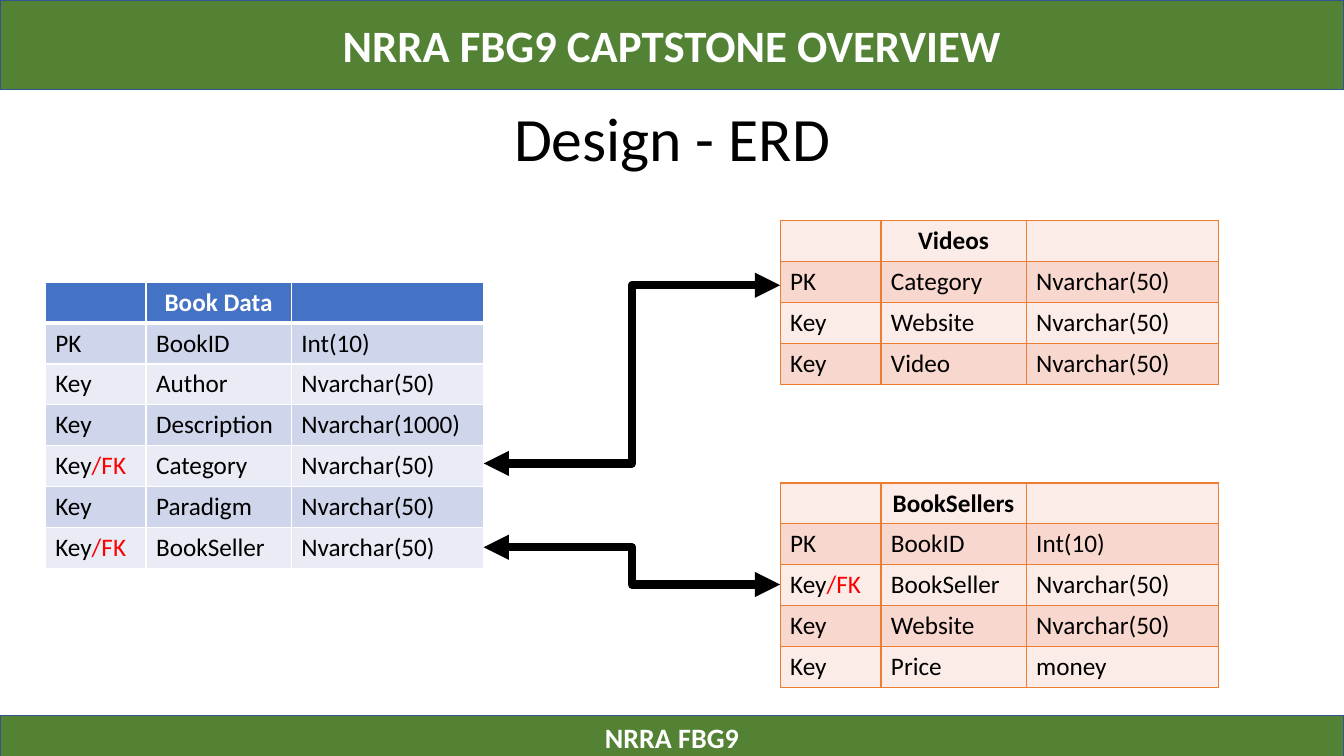
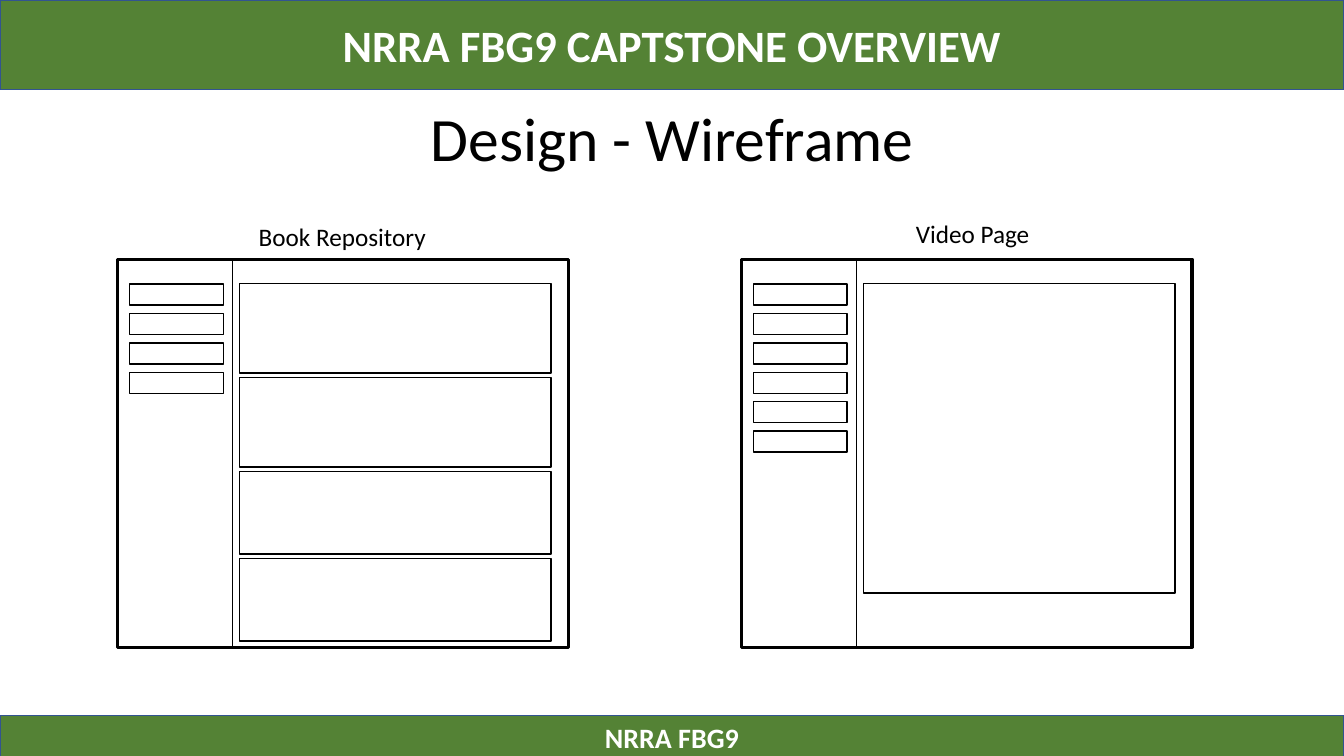
from lxml import etree
from pptx import Presentation
from pptx.dml.color import RGBColor
from pptx.enum.shapes import MSO_CONNECTOR, MSO_SHAPE
from pptx.enum.text import MSO_ANCHOR, PP_ALIGN
from pptx.oxml.ns import qn
from pptx.util import Cm, Pt

RECT = MSO_SHAPE.RECTANGLE
LINE, ELBOW = MSO_CONNECTOR.STRAIGHT, MSO_CONNECTOR.ELBOW
LEFT, CENTER = PP_ALIGN.LEFT, PP_ALIGN.CENTER
TOP, MIDDLE = MSO_ANCHOR.TOP, MSO_ANCHOR.MIDDLE

FONT = "Calibri"
BLACK, WHITE, RED = "000000", "FFFFFF", "FF0000"
GREEN, EDGE = "548235", "325491"
WIDTH, HEIGHT = 33.87, 19.05
COURSE = "NRRA FBG9"

BLUE = {"head": "4472C4", "ink": WHITE, "bands": ("CFD5EA", "E9EBF5"),
        "rule": WHITE, "under": 3}
ORANGE = {"head": "FCECE8", "ink": BLACK, "bands": ("F8D7CE", "FCECE8"),
          "rule": "ED7D31", "under": 1}
COLS, ROW = (2.54, 3.66, 4.85), 1.03

BOOKS = [("PK", "BookID", "Int(10)"),
         ("Key", "Author", "Nvarchar(50)"),
         ("Key", "Description", "Nvarchar(1000)"),
         ("Key/FK", "Category", "Nvarchar(50)"),
         ("Key", "Paradigm", "Nvarchar(50)"),
         ("Key/FK", "BookSeller", "Nvarchar(50)")]
VIDEOS = [("PK", "Category", "Nvarchar(50)"),
          ("Key", "Website", "Nvarchar(50)"),
          ("Key", "Video", "Nvarchar(50)")]
SELLERS = [("PK", "BookID", "Int(10)"),
           ("Key/FK", "BookSeller", "Nvarchar(50)"),
           ("Key", "Website", "Nvarchar(50)"),
           ("Key", "Price", "money")]


def paint(color, code):
    """Set a colour format from a hex string."""
    color.rgb = RGBColor.from_string(code)


def write(frame, runs, size, bold=False, align=LEFT):
    """Add (text, colour) runs to the first paragraph and return it."""
    para = frame.paragraphs[0]
    para.alignment = align
    for text, code in runs:
        run = para.add_run()
        run.text = text
        run.font.name, run.font.size, run.font.bold = FONT, Pt(size), bold
        paint(run.font.color, code)
    return para


def add_box(slide, x, y, w, h, line=BLACK, weight=1, fill=None):
    """Add an outlined rectangle, filled if a colour is given."""
    box = slide.shapes.add_shape(RECT, Cm(x), Cm(y), Cm(w), Cm(h))
    box.shadow.inherit = False
    paint(box.line.color, line)
    box.line.width = Pt(weight)
    if fill:
        box.fill.solid()
        paint(box.fill.fore_color, fill)
    else:
        box.fill.background()
    return box


def add_band(slide, y, h, text, size):
    """Add a green band across the slide."""
    frame = add_box(slide, 0, y, WIDTH, h, EDGE, 1, GREEN).text_frame
    frame.vertical_anchor = MIDDLE
    write(frame, [(text, WHITE)], size, True, CENTER)


def add_label(slide, x, y, w, h, text, size=18, align=LEFT, anchor=TOP,
              wrap=False):
    """Add a text box with one line of black text."""
    frame = slide.shapes.add_textbox(Cm(x), Cm(y), Cm(w), Cm(h)).text_frame
    frame.word_wrap, frame.vertical_anchor = wrap, anchor
    return write(frame, [(text, BLACK)], size, align=align)


def add_page(deck, title):
    """Add a blank slide with the shared bands and a title."""
    slide = deck.slides.add_slide(deck.slide_layouts[6])
    add_band(slide, 0, 2.26, COURSE + " CAPTSTONE OVERVIEW", 32)
    add_band(slide, 18.03, 1.12, COURSE, 20)
    para = add_label(slide, 2.34, 2.41, 29.21, 2.29, title, 44, CENTER,
                     MIDDLE, True)
    para.line_spacing = 0.9
    return slide


def add_line(slide, kind, start, end, weight, arrows=False):
    """Add a black connector, with an arrowhead at both ends if asked."""
    link = slide.shapes.add_connector(kind, *map(Cm, start + end))
    paint(link.line.color, BLACK)
    link.line.width = Pt(weight)
    if arrows:
        for tag in ("a:headEnd", "a:tailEnd"):
            etree.SubElement(link.line._ln, qn(tag), type="triangle")
    etree.SubElement(link._element.spPr, qn("a:effectLst"))


def add_rules(cell, code, top, base):
    """Draw the four borders of a cell."""
    props = cell._tc.get_or_add_tcPr()
    for side, weight in (("L", 1), ("R", 1), ("T", top), ("B", base)):
        line = etree.SubElement(props, qn("a:ln" + side), w=str(Pt(weight)))
        fill = etree.SubElement(line, qn("a:solidFill"))
        etree.SubElement(fill, qn("a:srgbClr"), val=code)


def add_grid(slide, x, y, name, rows, look):
    """Add an entity table: a named head row and banded field rows."""
    rows = [("", name, "")] + rows
    table = slide.shapes.add_table(len(rows), len(COLS), Cm(x), Cm(y),
                                   Cm(sum(COLS)), Cm(ROW * len(rows))).table
    table.first_row = table.horz_banding = False
    for col, width in zip(table.columns, COLS):
        col.width = Cm(width)
    for i, row in enumerate(rows):
        table.rows[i].height = Cm(ROW)
        head = i == 0
        for j, text in enumerate(row):
            cell = table.cell(i, j)
            add_rules(cell, look["rule"], look["under"] if i == 1 else 1,
                      look["under"] if head else 1)
            cell.fill.solid()
            paint(cell.fill.fore_color,
                  look["head"] if head else look["bands"][(i - 1) % 2])
            key, mark, rest = text.partition("/")
            runs = [(key, look["ink"] if head else BLACK), (mark + rest, RED)]
            write(cell.text_frame, [run for run in runs if run[0]], 18, head,
                  CENTER if head else LEFT)


def add_frame(slide, x, count, panels):
    """Add a page wireframe: side buttons and a stack of panels."""
    top, tall, side = 6.53, 9.78, x + 2.88
    add_box(slide, x, top, 11.35, tall, weight=2.25)
    add_line(slide, LINE, (side, top), (side, top + tall), 0.5)
    for i in range(count):
        add_box(slide, x + 0.3, 7.16 + 0.74 * i, 2.36, 0.53)
    y = 7.14
    for high in panels:
        add_box(slide, x + 3.07, y, 7.85, high)
        y += high + 0.11


def main():
    """Build both slides and save the deck."""
    deck = Presentation()
    deck.slide_width, deck.slide_height = Cm(WIDTH), Cm(HEIGHT)

    page = add_page(deck, "Design - ERD")
    add_grid(page, 1.14, 7.11, "Book Data", BOOKS, BLUE)
    add_grid(page, 19.66, 12.17, "BookSellers", SELLERS, ORANGE)
    add_grid(page, 19.66, 5.56, "Videos", VIDEOS, ORANGE)
    for start, end in ((13.79, 14.73), (11.68, 7.19)):
        add_line(page, ELBOW, (12.19, start), (19.66, end), 6, True)

    page = add_page(deck, "Design - Wireframe")
    add_frame(page, 2.97, 4, (2.26, 2.26, 2.08, 2.08))
    add_label(page, 6.27, 5.44, 4.78, 1.02, "Book Repository")
    add_frame(page, 18.69, 6, (7.8,))
    add_label(page, 22.83, 5.38, 3.4, 1.02, "Video Page")

    deck.save("out.pptx")


main()
